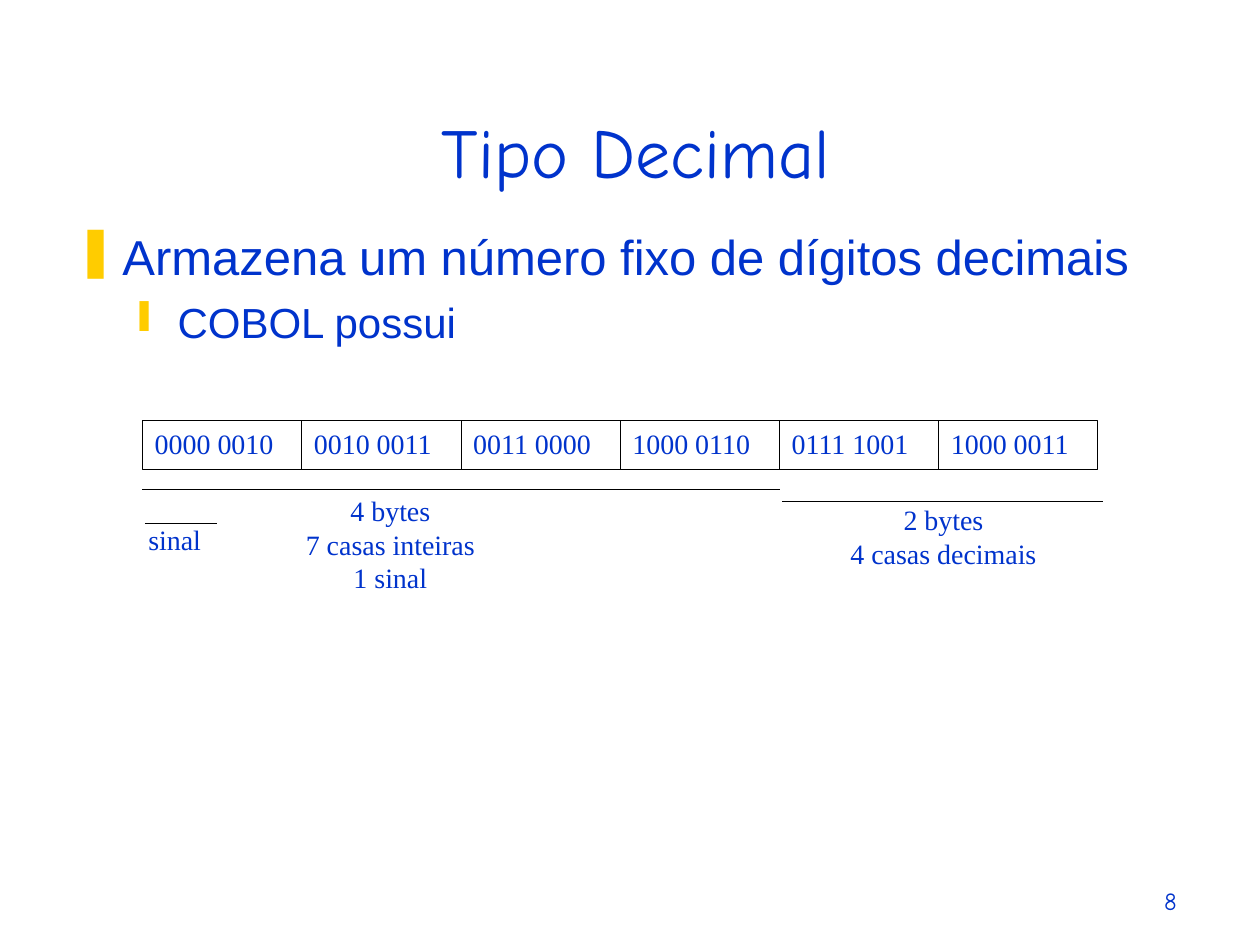
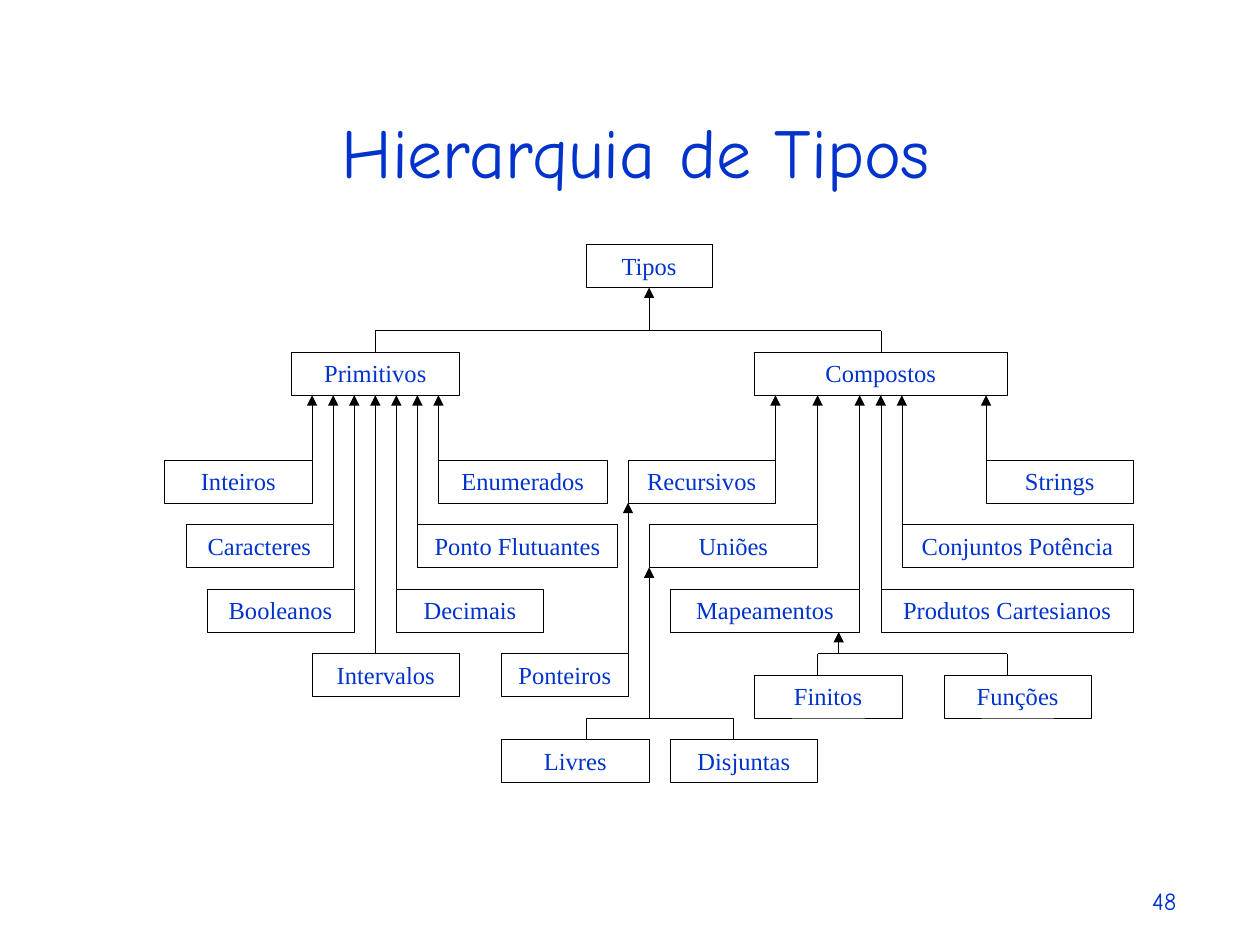
from lxml.etree import SubElement
from pptx import Presentation
from pptx.dml.color import RGBColor
from pptx.enum.shapes import MSO_CONNECTOR, MSO_SHAPE
from pptx.enum.text import MSO_ANCHOR, PP_ALIGN
from pptx.oxml.ns import qn
from pptx.util import Cm, Pt

COLORS = {"text": "0033CC", "bullet": "FFCC00", "line": "000000", "box": "FFFFFF"}
DISPLAY, BODY, DIAGRAM = "Comic Neue", "Arial", "Times New Roman"
LINE_WIDTH = Pt(0.25)

# Grid of the type hierarchy, in centimetres
GRID_LEFT, GRID_TOP = 3.32, 4.93
COLUMN, ROW = 19.53 / 46, 9.98 / 23
BOX_ROWS = 2

# Name, first column, columns wide, top row
PARENTS = [("Tipos", 20, 6, 0), ("Primitivos", 6, 8, 5), ("Compostos", 28, 12, 5)]
# The same, then the column of the arrow and the row where it ends
CHILDREN = [
    ("Inteiros", 0, 7, 10, 7, 7),
    ("Caracteres", 1, 7, 13, 8, 7),
    ("Booleanos", 2, 7, 16, 9, 7),
    ("Intervalos", 7, 7, 19, 10, 7),
    ("Decimais", 11, 7, 16, 11, 7),
    ("Ponto Flutuantes", 12, 9.5, 13, 12, 7),
    ("Enumerados", 13, 8, 10, 13, 7),
    ("Recursivos", 22, 7, 10, 29, 7),
    ("Uniões", 23, 8, 13, 31, 7),
    ("Mapeamentos", 24, 9, 16, 33, 7),
    ("Produtos Cartesianos", 34, 12, 16, 34, 7),
    ("Conjuntos Potência", 35, 11, 13, 35, 7),
    ("Strings", 39, 7, 10, 39, 7),
    ("Ponteiros", 16, 6, 19, 22, 12),
]
VARIANTS = [
    ("Livres", 16, 7, 23),
    ("Disjuntas", 24, 7, 23),
    ("Finitos", 28, 7, 20),
    ("Funções", 37, 7, 20),
]
# Left column, right column, bar row, stem column, row where the stem ends
FORKS = [(10, 34, 4, 23, 2), (20, 27, 22, 23, 15), (31, 40, 19, 32, 18)]


def color(name):
    return RGBColor.from_string(COLORS[name])


class Deck:
    def __init__(self):
        self.presentation = Presentation()
        self.presentation.slide_width = Cm(25.4)
        self.presentation.slide_height = Cm(19.05)
        self.slide = None

    def add_slide(self, title, number):
        self.slide = self.presentation.slides.add_slide(self.presentation.slide_layouts[6])
        self.text(0.43, 1.27, 24.77, 2.74, [title], 40, DISPLAY,
                  PP_ALIGN.CENTER, MSO_ANCHOR.BOTTOM)
        frame = self.text(18.69, 17.3, 5.28, 1.27, [str(number)], 14, DISPLAY,
                          PP_ALIGN.RIGHT, MSO_ANCHOR.BOTTOM)
        frame.paragraphs[0].space_before = Pt(8.8)

    def fill_text(self, shape, lines, size, font, align, anchor=MSO_ANCHOR.TOP):
        frame = shape.text_frame
        frame.word_wrap = True
        frame.vertical_anchor = anchor
        frame.text = "\n".join(lines)
        for paragraph in frame.paragraphs:
            paragraph.alignment = align
            for run in paragraph.runs:
                run.font.size = Pt(size)
                run.font.name = font
                run.font.color.rgb = color("text")
        return frame

    def text(self, left, top, width, height, lines, size, font,
             align=PP_ALIGN.LEFT, anchor=MSO_ANCHOR.TOP):
        shape = self.slide.shapes.add_textbox(Cm(left), Cm(top), Cm(width), Cm(height))
        return self.fill_text(shape, lines, size, font, align, anchor)

    def bullet(self, paragraph, symbol, size, margin, hanging, space):
        paragraph.space_before = Pt(space)
        paragraph.runs[0].font.size = Pt(size)
        properties = paragraph._p.get_or_add_pPr()
        properties.set("marL", str(Cm(margin)))
        properties.set("indent", str(-Cm(hanging)))
        bullet_color = SubElement(properties, qn("a:buClr"))
        SubElement(bullet_color, qn("a:srgbClr"), val=COLORS["bullet"])
        SubElement(properties, qn("a:buChar"), char=symbol)

    def box(self, left, top, width, height, label, size, align=PP_ALIGN.CENTER):
        shape = self.slide.shapes.add_shape(
            MSO_SHAPE.RECTANGLE, Cm(left), Cm(top), Cm(width), Cm(height))
        shape.shadow.inherit = False
        shape.fill.solid()
        shape.fill.fore_color.rgb = color("box")
        shape.line.color.rgb = color("line")
        shape.line.width = LINE_WIDTH
        self.fill_text(shape, [label], size, DIAGRAM, align)

    def line(self, x1, y1, x2, y2, arrow=False):
        """Draw a line; an arrow has its head at the first point."""
        connector = self.slide.shapes.add_connector(
            MSO_CONNECTOR.STRAIGHT, Cm(x1), Cm(y1), Cm(x2), Cm(y2))
        connector.line.color.rgb = color("line")
        connector.line.width = LINE_WIDTH
        if arrow:
            SubElement(connector.get_or_add_ln(), qn("a:headEnd"), type="triangle")
        SubElement(connector._element.spPr, qn("a:effectLst"))

    def grid_box(self, label, column, columns, row):
        self.box(GRID_LEFT + column * COLUMN, GRID_TOP + row * ROW,
                 columns * COLUMN, BOX_ROWS * ROW, label, 14)

    def grid_line(self, column1, row1, column2, row2, arrow=False):
        self.line(GRID_LEFT + column1 * COLUMN, GRID_TOP + row1 * ROW,
                  GRID_LEFT + column2 * COLUMN, GRID_TOP + row2 * ROW, arrow)

    def fork(self, left, right, bar, stem, end):
        self.grid_line(left, bar, right, bar)
        self.grid_line(stem, end, stem, bar, arrow=True)
        for column in (left, right):
            self.grid_line(column, bar, column, bar + 1)


def build_decimal_slide(deck):
    deck.add_slide("Tipo Decimal", 8)
    body = deck.text(1.27, 4.45, 22.71, 12.5,
                     ["Armazena um número fixo de dígitos decimais", "COBOL possui"], 28, BODY)
    main_point, example = body.paragraphs
    deck.bullet(main_point, "❚", 28, 0.95, 0.95, 7)
    example.level = 1
    deck.bullet(example, "❙", 24, 2.06, 0.79, 6)

    cells = ["0000 0010", "0010 0011", "0011 0000", "1000 0110", "0111 1001", "1000 0011"]
    cell_width = 3.21
    for index, bits in enumerate(cells):
        deck.box(2.87 + index * cell_width, 8.48, cell_width, 0.98, bits, 16, PP_ALIGN.LEFT)

    for left, right, top in [(2.87, 15.72, 9.86), (15.77, 22.23, 10.11), (2.92, 4.37, 10.54)]:
        deck.line(left, top, right, top)
    deck.text(5.23, 9.83, 5.28, 2.41, ["4 bytes", "7 casas inteiras", "1 sinal"],
              16, DIAGRAM, PP_ALIGN.CENTER)
    deck.text(16.38, 10.01, 5.28, 1.8, ["2 bytes", "4 casas decimais"],
              16, DIAGRAM, PP_ALIGN.CENTER)
    deck.text(2.74, 10.41, 2.01, 0.97, ["sinal"], 16, DIAGRAM)


def build_hierarchy_slide(deck):
    deck.add_slide("Hierarquia de Tipos", 48)
    for place in PARENTS + VARIANTS:
        deck.grid_box(*place)
    for label, column, columns, row, arrow_column, arrow_end in CHILDREN:
        deck.grid_box(label, column, columns, row)
        deck.grid_line(arrow_column, arrow_end, arrow_column, row, arrow=True)
    for fork in FORKS:
        deck.fork(*fork)


def main():
    deck = Deck()
    build_decimal_slide(deck)
    build_hierarchy_slide(deck)
    deck.presentation.save("out.pptx")


if __name__ == "__main__":
    main()
